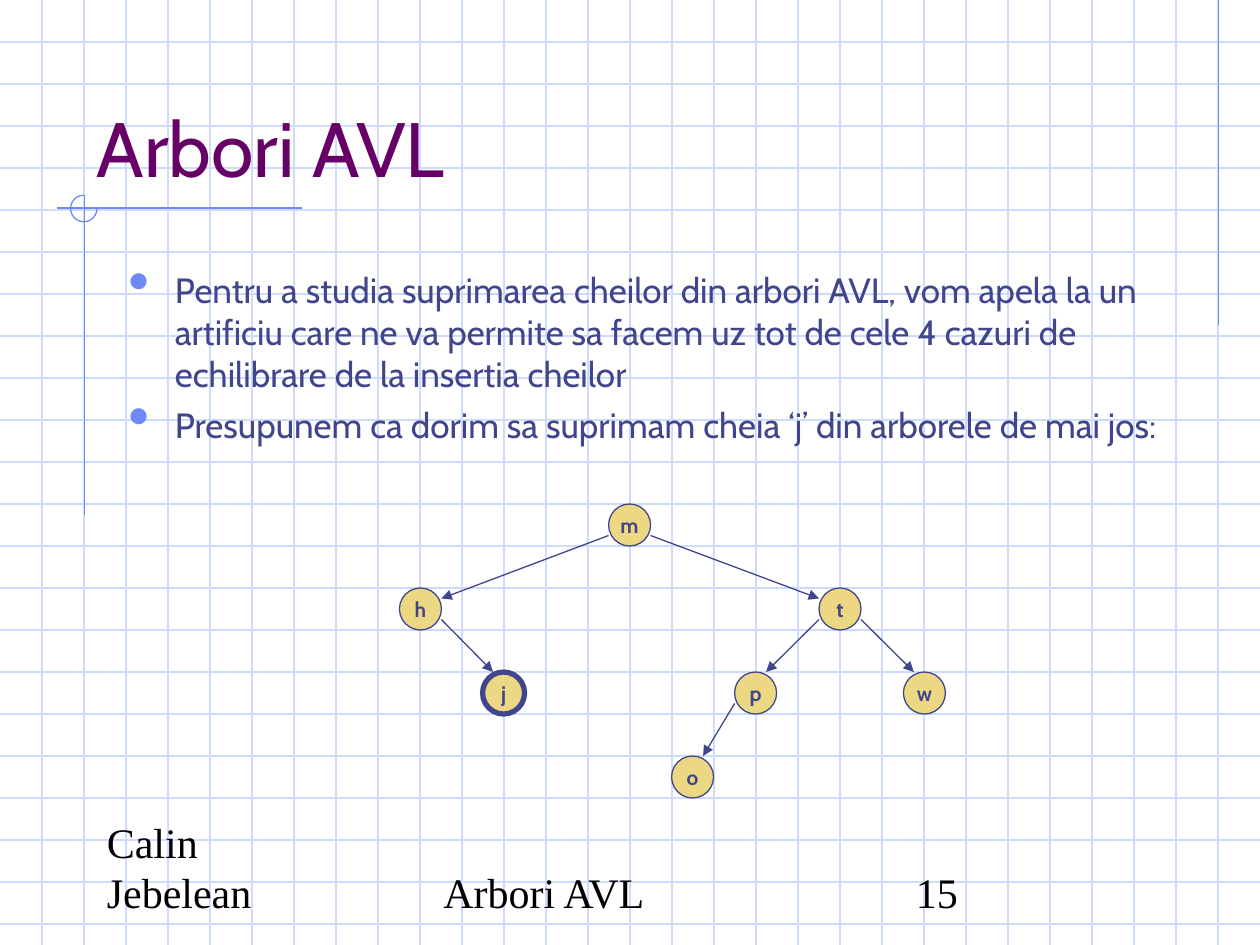
from lxml import etree
from pptx import Presentation
from pptx import util as u
from pptx.dml.color import RGBColor
from pptx.enum import shapes, text
from pptx.oxml.ns import qn

GRID = RGBColor(0xCF, 0xDB, 0xFD)
ACCENT = RGBColor(0x6F, 0x89, 0xF7)
INK = RGBColor(0x40, 0x45, 0x8C)
PURPLE = RGBColor(0x66, 0x00, 0x66)
SAND = RGBColor(0xEC, 0xD8, 0x82)
BLACK = RGBColor(0, 0, 0)

WIDTH, HEIGHT = 10, 7.5
STEP = 1 / 3  # grid pitch, also the node diameter

TITLE = "Arbori AVL"
BULLETS = [
    "Pentru a studia suprimarea cheilor din arbori AVL, vom apela la un artificiu "
    "care ne va permite sa facem uz tot de cele 4 cazuri de echilibrare de la "
    "insertia cheilor",
    "Presupunem ca dorim sa suprimam cheia ‘j’ din arborele de mai jos:",
]
FOOTERS = [("Calin Jebelean", 0.75, 2.08), ("Arbori AVL", 3.42, 3.16), ("15", 7.17, 2.08)]

# Key: (left, level in the tree)
NODES = {"m": (4.83, 0), "h": (3.17, 1), "t": (6.5, 1), "j": (3.83, 2),
         "p": (5.83, 2), "w": (7.17, 2), "o": (5.33, 3)}
EDGES = ["mh", "mt", "hj", "tp", "tw", "po"]
DELETED = "j"

ACCENT_LINES = [((9.67, 0), (9.67, 2.58)), ((2.4, 1.65), (0.45, 1.65)),
                ((0.67, 1.55), (0.67, 4.09))]


def add_line(page, start, end, color, arrow=False):
    line = page.shapes.add_connector(
        shapes.MSO_CONNECTOR.STRAIGHT, *map(u.Inches, (*start, *end)))
    line.line.color.rgb = color
    line.line.width = u.Pt(0.75)
    properties = line._element.spPr
    if arrow:
        etree.SubElement(properties.find(qn("a:ln")), qn("a:tailEnd"), type="triangle")
    etree.SubElement(properties, qn("a:effectLst"))


def style(para, font, size, color, bold=False):
    for span in para.runs:
        span.font.name = font
        span.font.size = u.Pt(size)
        span.font.color.rgb = color
        span.font.bold = bold


def add_text(page, area, lines, font, size, color, anchor=text.MSO_ANCHOR.BOTTOM):
    frame = page.shapes.add_textbox(*map(u.Inches, area)).text_frame
    frame.word_wrap = True
    frame.vertical_anchor = anchor
    frame.text = "\n".join(lines)
    for para in frame.paragraphs:
        style(para, font, size, color)
    return frame


def add_bullet(para):
    para.space_before = u.Pt(5)
    properties = para._p.get_or_add_pPr()
    properties.set("marL", str(u.Inches(0.37)))
    properties.set("indent", str(-u.Inches(0.37)))
    color = etree.SubElement(properties, qn("a:buClr"))
    etree.SubElement(color, qn("a:srgbClr"), val=str(ACCENT))
    etree.SubElement(properties, qn("a:buSzPct"), val="176000")
    etree.SubElement(properties, qn("a:buChar"), char="•")


def node_corner(key):
    left, level = NODES[key]
    return left, 4 + level * 2 * STEP


def add_node(page, key):
    left, top = node_corner(key)
    node = page.shapes.add_shape(
        shapes.MSO_SHAPE.OVAL, *map(u.Inches, (left, top, STEP, STEP)))
    node.shadow.inherit = False
    node.fill.solid()
    node.fill.fore_color.rgb = SAND
    node.line.color.rgb = INK
    node.line.width = u.Pt(3 if key == DELETED else 0.75)
    frame = node.text_frame
    frame.margin_left = frame.margin_right = frame.margin_top = frame.margin_bottom = 0
    frame.word_wrap = False
    frame.vertical_anchor = text.MSO_ANCHOR.MIDDLE
    frame.text = key
    frame.paragraphs[0].alignment = text.PP_ALIGN.CENTER
    style(frame.paragraphs[0], "Cabin", 12, INK, bold=True)


def add_edge(page, parent, child):
    """Leave the parent's side; reach the child's side if far, else its top."""
    (x1, y1), (x2, y2) = node_corner(parent), node_corner(child)
    goes_right = x2 > x1
    start = (x1 + STEP * goes_right, y1 + STEP * 3 / 4)
    if abs(x2 - x1) > 1:
        end = (x2 + STEP * (not goes_right), y2 + STEP / 4)
    else:
        end = (x2 + STEP * (1 / 4 if goes_right else 3 / 4), y2)
    add_line(page, start, end, INK, arrow=True)


def main():
    deck = Presentation()
    deck.slide_width, deck.slide_height = u.Inches(WIDTH), u.Inches(HEIGHT)
    page = deck.slides.add_slide(deck.slide_layouts[6])

    # Squared paper
    for row in range(1, 23):
        add_line(page, (0, row * STEP), (WIDTH, row * STEP), GRID)
    for column in range(1, 30):
        add_line(page, (column * STEP, 0), (column * STEP, HEIGHT), GRID)

    # Accent lines and the three-quarter circle where they cross
    for start, end in ACCENT_LINES:
        add_line(page, start, end, ACCENT)
    arc = page.shapes.add_shape(
        shapes.MSO_SHAPE.ARC, *map(u.Inches, (0.56, 1.55, 0.21, 0.21)))
    arc.adjustments[0], arc.adjustments[1] = 0, 162  # 0 to 270 degrees
    arc.shadow.inherit = False
    arc.fill.background()
    arc.line.color.rgb = ACCENT
    arc.line.width = u.Pt(0.75)

    # Title and bullets
    add_text(page, (0.67, 0.33, 8.5, 1.25), [TITLE], "Cabin", 44, PURPLE)
    body = add_text(page, (0.92, 2.08, 8.5, 4.5), BULLETS, "Cabin", 20, INK,
                    text.MSO_ANCHOR.TOP)
    for para in body.paragraphs:
        add_bullet(para)

    # Tree
    for key in NODES:
        add_node(page, key)
    for parent, child in EDGES:
        add_edge(page, parent, child)

    # Footer
    for label, left, width in FOOTERS:
        add_text(page, (left, 6.83, width, 0.5), [label], "Times New Roman", 24, BLACK)

    deck.save("out.pptx")


if __name__ == "__main__":
    main()
